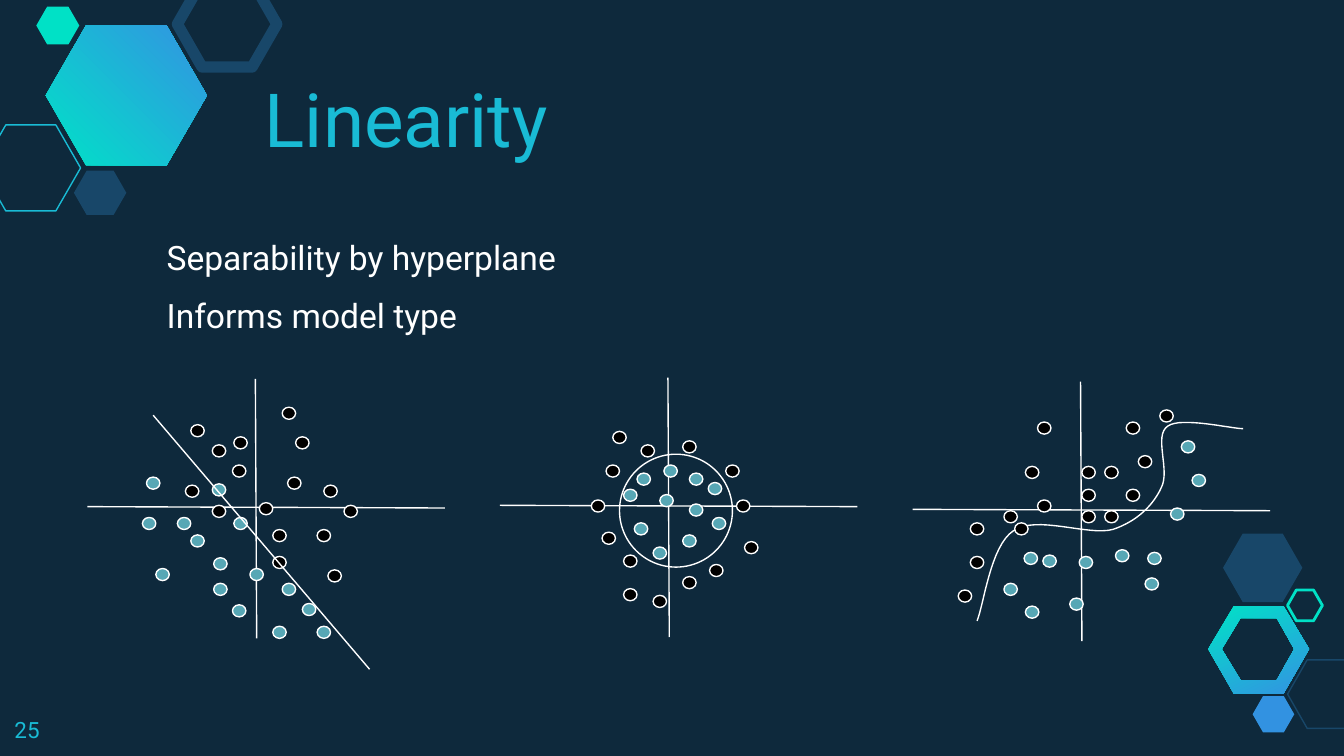
import lxml.etree
import pptx
import pptx.dml.color
import pptx.enum.shapes
import pptx.enum.text
import pptx.oxml.ns
import pptx.util
from pptx.util import Inches

COLORS = {
    "background": "0E293C",
    "accent": "19BBD5",
    "navy": "184769",
    "mint": "00E1C6",
    "blue": "3292E1",
    "gradient_start": "00E2C7",
    "gradient_end": "3393E2",
    "white": "FFFFFF",
    "black": "000000",
    "teal": "57A7B5",
}
FONT = "Roboto"
DOT_SIZE = (0.1, 0.09)

HEXAGONS = [
    ((-0.14, 0.93, 0.74, 0.64), None, "accent", 0.75),
    ((0.55, 1.27, 0.39, 0.33), "navy", None, 0),
    ((1.32, -0.14, 0.74, 0.64), None, "navy", 6),
    ((0.27, 0.05, 0.32, 0.28), "mint", None, 0),
    ((9.58, 4.91, 0.59, 0.51), None, "navy", 0.75),
    ((9.32, 5.18, 0.31, 0.27), "blue", None, 0),
    ((9.1, 3.97, 0.59, 0.51), "navy", None, 0),
    ((9.58, 4.39, 0.26, 0.23), None, "mint", 1.5),
]
LARGE_HEXAGON = [(1.54, 0.71), (1.24, 1.23), (0.64, 1.23), (0.34, 0.71), (0.64, 0.19), (1.24, 0.19)]
RING_OUTER = [(9.18, 5.16), (8.99, 4.83), (9.18, 4.51), (9.55, 4.51), (9.74, 4.83), (9.55, 5.16)]
RING_INNER = [(9.23, 5.06), (9.5, 5.06), (9.63, 4.83), (9.5, 4.6), (9.23, 4.6), (9.09, 4.83)]

AXIS_ORIGINS = [(0.65, 3.77), (3.72, 3.76), (6.79, 3.79)]
LINEAR_DOTS = {
    "black": [(1.42, 3.16), (1.58, 3.31), (1.73, 3.46), (1.58, 3.76), (1.74, 3.25), (2.41, 3.61),
              (1.38, 3.61), (2.14, 3.55), (2.1, 3.03), (2.2, 3.25), (2.56, 3.76), (2.36, 3.94),
              (1.93, 3.74), (2.03, 3.94), (2.03, 4.14), (2.44, 4.24)],
    "teal": [(1.09, 3.55), (1.59, 4.15), (1.86, 4.23), (1.74, 3.85), (1.58, 3.6), (1.06, 3.85),
             (1.32, 3.85), (1.42, 3.98), (1.16, 4.23), (1.59, 4.34), (1.73, 4.5), (2.1, 4.34),
             (2.03, 4.66), (2.25, 4.49), (2.36, 4.66)],
}
CIRCULAR_DOTS = {
    "teal": [(4.74, 3.52), (4.91, 3.68), (4.64, 3.64), (5.13, 3.52), (5.08, 3.98), (5.13, 3.75),
             (4.72, 3.89), (4.94, 3.46), (4.86, 4.07), (5.3, 3.85), (5.27, 3.59)],
    "black": [(4.48, 3.96), (4.64, 4.13), (4.51, 3.46), (5.08, 3.28), (5.54, 4.03), (5.4, 3.46),
              (5.28, 4.2), (5.48, 3.72), (5.08, 4.29), (4.4, 3.72), (4.77, 3.31), (4.86, 4.43),
              (4.64, 4.38), (4.56, 3.21)],
}
CURVED_DOTS = {
    "black": [(7.72, 3.72), (7.55, 3.89), (7.47, 3.8), (7.63, 3.47), (8.38, 3.64), (7.22, 4.14),
              (8.47, 3.39), (8.05, 3.64), (8.22, 3.47), (7.22, 3.89), (7.13, 4.39), (8.38, 3.14),
              (8.63, 3.05), (8.05, 3.8), (8.22, 3.8), (8.05, 3.47), (7.72, 3.14)],
    "teal": [(7.47, 4.34), (7.63, 4.51), (7.62, 4.11), (8.03, 4.14), (7.76, 4.13), (8.3, 4.09),
             (8.52, 4.3), (7.96, 4.45), (8.71, 3.78), (8.79, 3.28), (8.54, 4.11), (8.87, 3.53)],
}
CURVE = [(7.27, 4.62), (7.32, 4.5), (7.37, 4.06), (7.54, 3.95), (7.71, 3.83), (8.1, 3.99),
         (8.28, 3.94), (8.46, 3.88), (8.58, 3.76), (8.64, 3.63), (8.71, 3.5), (8.58, 3.24),
         (8.69, 3.17), (8.79, 3.1), (9.16, 3.19), (9.25, 3.19)]


def rgb(name):
    return pptx.dml.color.RGBColor.from_string(COLORS[name])


def inches(values):
    return [Inches(value) for value in values]


def style_shape(shape, fill=None, line=None, width=0.75):
    shape.shadow.inherit = False
    if fill:
        shape.fill.solid()
        shape.fill.fore_color.rgb = rgb(fill)
    else:
        shape.fill.background()
    if line:
        shape.line.color.rgb = rgb(line)
        shape.line.width = pptx.util.Pt(width)
    else:
        shape.line.fill.background()


def add_preset(slide, kind, box, **style):
    preset = getattr(pptx.enum.shapes.MSO_SHAPE, kind)
    shape = slide.shapes.add_shape(preset, *inches(box))
    style_shape(shape, **style)
    return shape


def add_hexagon(slide, box, fill, line, width):
    shape = add_preset(slide, "HEXAGON", box, fill=fill, line=line, width=width)
    shape.adjustments[0] = 0.287


def add_outline(slide, contours, closed=True, **style):
    builder = None
    for contour in contours:
        points = [inches(point) for point in contour]
        if builder is None:
            builder = slide.shapes.build_freeform(*points[0])
        else:
            builder.move_to(*points[0])
        builder.add_line_segments(points[1:], close=closed)
    shape = builder.convert_to_shape()
    style_shape(shape, **style)
    return shape


def add_gradient_outline(slide, contours, angle):
    shape = add_outline(slide, contours)
    shape.fill.gradient()
    shape.fill.gradient_angle = angle
    for stop, name in zip(shape.fill.gradient_stops, ("gradient_start", "gradient_end")):
        stop.color.rgb = rgb(name)


def add_line(slide, start, end):
    line = slide.shapes.add_connector(
        pptx.enum.shapes.MSO_CONNECTOR.STRAIGHT, *inches(start + end))
    line.line.color.rgb = rgb("white")
    line.line.width = pptx.util.Pt(0.75)
    properties = line._element.spPr
    lxml.etree.SubElement(properties, pptx.oxml.ns.qn("a:effectLst"))


def add_axes(slide, left, middle):
    add_line(slide, (left, middle), (left + 2.66, middle + 0.01))
    add_line(slide, (left + 1.26, middle + 0.98), (left + 1.25, middle - 0.95))


def add_dots(slide, groups):
    for color, positions in groups.items():
        for position in positions:
            add_preset(slide, "OVAL", position + DOT_SIZE, fill=color, line="white")


def sample_curve(controls, steps=16):
    points = [controls[0]]
    for first in range(0, len(controls) - 1, 3):
        segment = controls[first:first + 4]
        for step in range(1, steps + 1):
            t = step / steps
            weights = ((1 - t) ** 3, 3 * t * (1 - t) ** 2, 3 * t ** 2 * (1 - t), t ** 3)
            points.append(tuple(
                sum(weight * point[axis] for weight, point in zip(weights, segment))
                for axis in (0, 1)))
    return points


def write_text(shape, text, box, size, color, anchor="TOP", line_spacing=1.0, space_before=0):
    shape.left, shape.top, shape.width, shape.height = inches(box)
    frame = shape.text_frame
    frame.text = text
    frame.word_wrap = True
    frame.auto_size = pptx.enum.text.MSO_AUTO_SIZE.NONE
    frame.vertical_anchor = getattr(pptx.enum.text.MSO_ANCHOR, anchor)
    frame.margin_left = frame.margin_right = Inches(0.1)
    frame.margin_top = frame.margin_bottom = Inches(0.1)
    for index, paragraph in enumerate(frame.paragraphs):
        properties = paragraph._p.get_or_add_pPr()
        properties.set("marL", "0")
        properties.set("indent", "0")
        lxml.etree.SubElement(properties, pptx.oxml.ns.qn("a:buNone"))
        paragraph.alignment = pptx.enum.text.PP_ALIGN.LEFT
        paragraph.line_spacing = line_spacing
        paragraph.space_before = pptx.util.Pt(space_before if index else 0)
        paragraph.font.name = FONT
        paragraph.font.size = pptx.util.Pt(size)
        paragraph.font.color.rgb = rgb(color)


def main():
    presentation = pptx.Presentation()
    presentation.slide_width = Inches(10)
    presentation.slide_height = Inches(10 * 9 / 16)
    slide = presentation.slides.add_slide(presentation.slide_layouts[1])
    slide.background.fill.solid()
    slide.background.fill.fore_color.rgb = rgb("background")

    add_gradient_outline(slide, [RING_OUTER, RING_INNER], 296)
    add_gradient_outline(slide, [LARGE_HEXAGON], 45)
    for hexagon in HEXAGONS:
        add_hexagon(slide, *hexagon)

    write_text(slide.shapes.title, "Linearity", (1.87, 0.6, 7.78, 0.71), 40, "accent",
               anchor="BOTTOM")
    write_text(slide.placeholders[1], "Separability by hyperplane\nInforms model type",
               (1.14, 1.62, 6.56, 3.28), 18, "white", line_spacing=1.15, space_before=6)
    number_box = (0.01, 5.23, 0.6, 0.39)
    write_text(slide.shapes.add_textbox(*inches(number_box)), "25", number_box, 12, "accent")

    for origin in AXIS_ORIGINS:
        add_axes(slide, *origin)
    add_dots(slide, LINEAR_DOTS)
    add_line(slide, (1.14, 3.09), (2.75, 4.98))
    add_dots(slide, CIRCULAR_DOTS)
    add_preset(slide, "OVAL", (4.61, 3.38, 0.84, 0.84), line="white")
    add_outline(slide, [sample_curve(CURVE)], closed=False, line="white")
    add_dots(slide, CURVED_DOTS)

    presentation.save("out.pptx")


if __name__ == "__main__":
    main()
